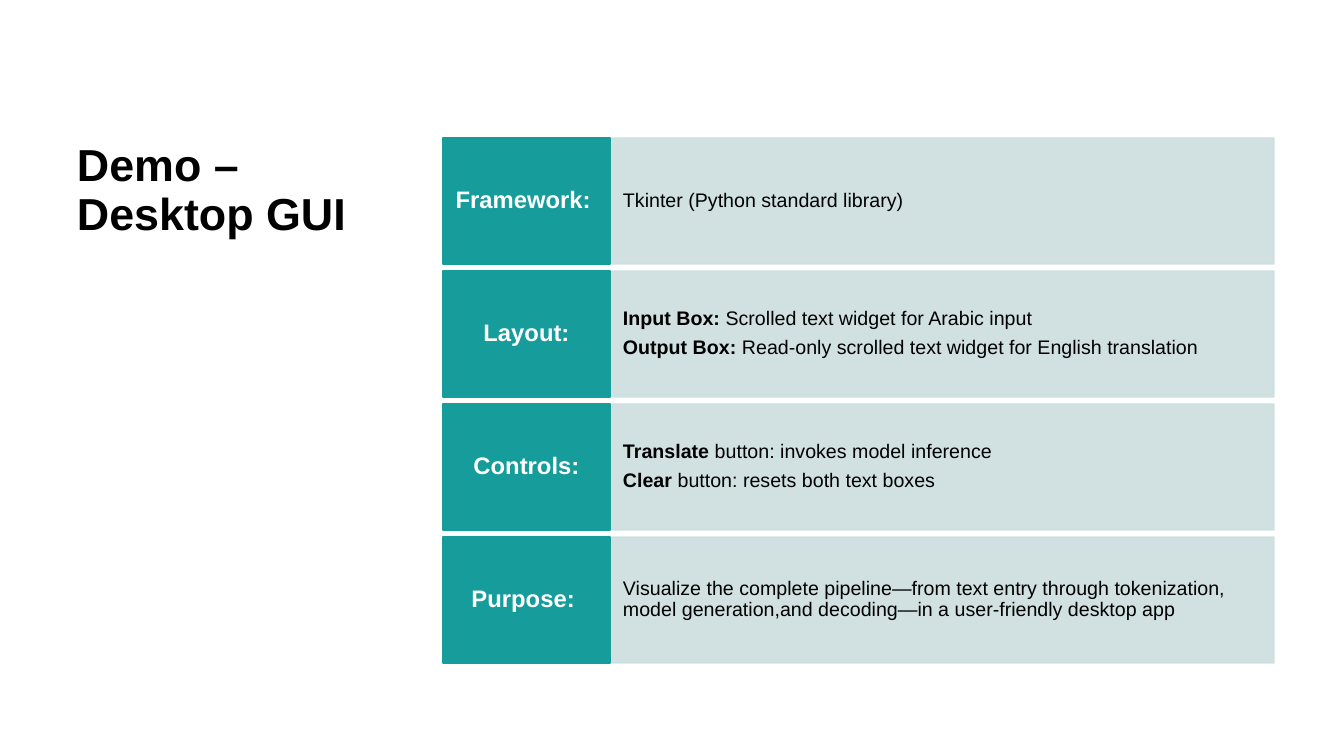
from lxml.etree import SubElement
from pptx import Presentation
from pptx.dml.color import RGBColor
from pptx.enum.shapes import MSO_SHAPE
from pptx.enum.text import MSO_ANCHOR, PP_ALIGN
from pptx.oxml.ns import qn
from pptx.util import Emu, Pt

# Content: each row has a label and paragraphs of (text, bold) runs
TITLE = "Demo – Desktop GUI"
ROWS = [
    ("Framework: ", [[("Tkinter (Python standard library)", False)]]),
    ("Layout:", [
        [("Input Box:", True), (" Scrolled text widget for Arabic input", False)],
        [("Output Box:", True),
         (" Read-only scrolled text widget for English translation", False)],
    ]),
    ("Controls:", [
        [("Translate", True), (" button: invokes model inference", False)],
        [("Clear", True), (" button: resets both text boxes", False)],
    ]),
    ("Purpose: ", [[
        ("Visualize the complete pipeline—from text entry through tokenization, "
         "model generation,and decoding—in a user-friendly desktop app", False),
    ]]),
]

# Formats
COLORS = {"teal": "169C9A", "pale": "CCDEDE", "black": "000000", "white": "FFFFFF"}
TITLE_FORMAT = {"size": 32, "color": "black", "align": PP_ALIGN.LEFT, "after": 0,
                "anchor": MSO_ANCHOR.TOP, "margins": (10, 5)}
LABEL_FORMAT = {"size": 17, "color": "white", "align": PP_ALIGN.CENTER, "after": 6.5,
                "anchor": MSO_ANCHOR.MIDDLE, "margins": (9, 12)}
DETAIL_FORMAT = {"size": 14, "color": "black", "align": PP_ALIGN.LEFT, "after": 5.5,
                 "anchor": MSO_ANCHOR.MIDDLE, "margins": (13, 32)}

# Geometry in px
SLIDE_WIDTH, SLIDE_HEIGHT = 1344, 756
TITLE_LEFT, TITLE_WIDTH, TITLE_HEIGHT = 67, 321, 526
LABEL_LEFT, LABEL_WIDTH = 443, 167
DETAIL_LEFT, DETAIL_WIDTH = LABEL_LEFT + LABEL_WIDTH, 664
TOP, ROW_HEIGHT, ROW_GAP = 138, 126, 7


def px(length):
    return Emu(round(length * 914400 / 100.8))


def color(name):
    return RGBColor.from_string(COLORS[name])


def write_text(shape, paragraphs, style):
    frame = shape.text_frame
    side, vertical = (px(margin) for margin in style["margins"])
    frame_values = {"word_wrap": True, "vertical_anchor": style["anchor"],
                    "margin_left": side, "margin_right": side,
                    "margin_top": vertical, "margin_bottom": vertical}
    for name, value in frame_values.items():
        setattr(frame, name, value)
    for index, runs in enumerate(paragraphs):
        paragraph = frame.add_paragraph() if index else frame.paragraphs[0]
        paragraph_values = {"alignment": style["align"], "line_spacing": 0.9,
                            "space_after": Pt(style["after"])}
        for name, value in paragraph_values.items():
            setattr(paragraph, name, value)
        for text, bold in runs:
            run = paragraph.add_run()
            run.text = text
            font_values = {"name": "Arial", "size": Pt(style["size"]), "bold": bold}
            for name, value in font_values.items():
                setattr(run.font, name, value)
            run.font.color.rgb = color(style["color"])


def add_box(slide, left, top, width, fill, opacity=100):
    shape = slide.shapes.add_shape(
        MSO_SHAPE.RECTANGLE, px(left), px(top), px(width), px(ROW_HEIGHT))
    shape.shadow.inherit = False
    shape.fill.solid()
    shape.fill.fore_color.rgb = color(fill)
    shape.line.color.rgb = color(fill)
    shape.line.width = Pt(1)
    if opacity < 100:
        for element in shape.element.spPr.iter(qn("a:srgbClr")):
            SubElement(element, qn("a:alpha"), val=str(opacity * 1000))
    return shape


def main():
    presentation = Presentation()
    presentation.slide_width = px(SLIDE_WIDTH)
    presentation.slide_height = px(SLIDE_HEIGHT)
    slide = presentation.slides.add_slide(presentation.slide_layouts[6])

    # Title
    title = slide.shapes.add_textbox(
        px(TITLE_LEFT), px(TOP), px(TITLE_WIDTH), px(TITLE_HEIGHT))
    write_text(title, [[(TITLE, True)]], TITLE_FORMAT)

    # Rows: pale detail box, then teal label box
    for index, (label, details) in enumerate(ROWS):
        top = TOP + index * (ROW_HEIGHT + ROW_GAP)
        detail_box = add_box(slide, DETAIL_LEFT, top, DETAIL_WIDTH, "pale", opacity=90)
        write_text(detail_box, details, DETAIL_FORMAT)
        label_box = add_box(slide, LABEL_LEFT, top, LABEL_WIDTH, "teal")
        write_text(label_box, [[(label, True)]], LABEL_FORMAT)

    presentation.save("out.pptx")


if __name__ == "__main__":
    main()
